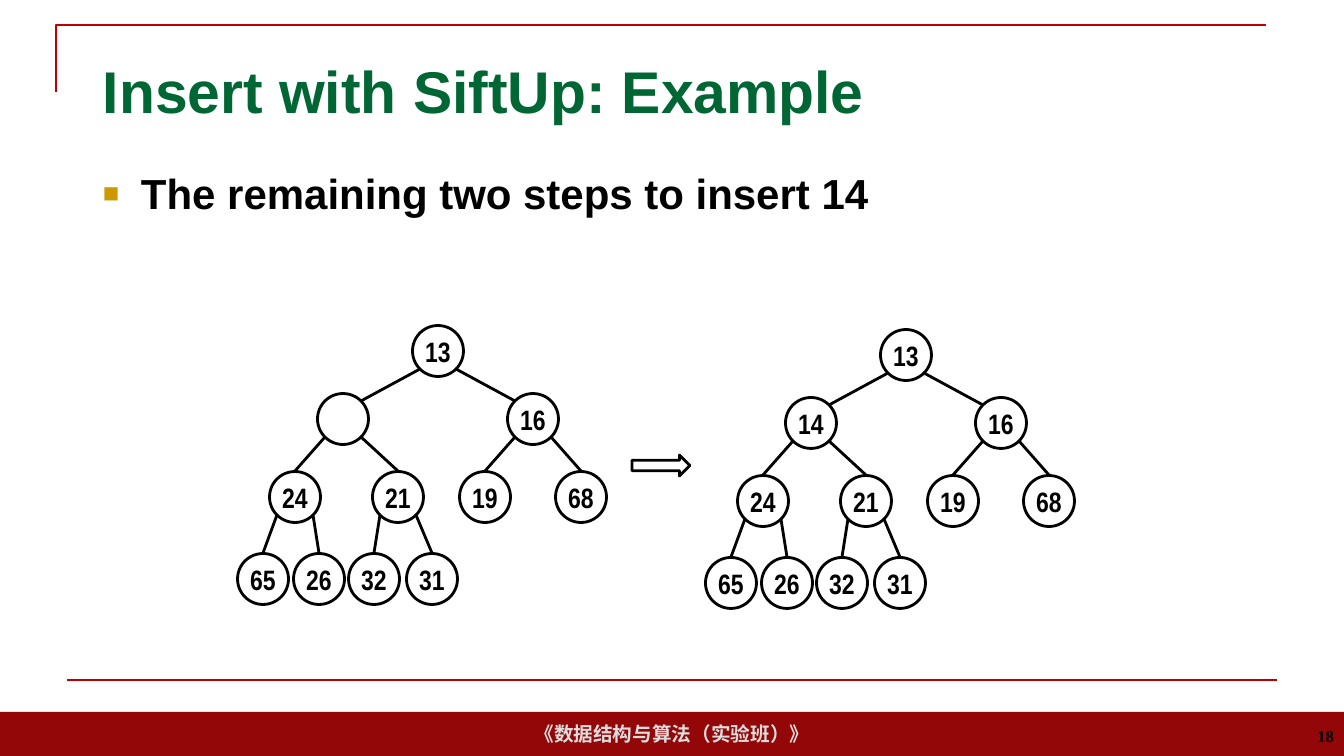
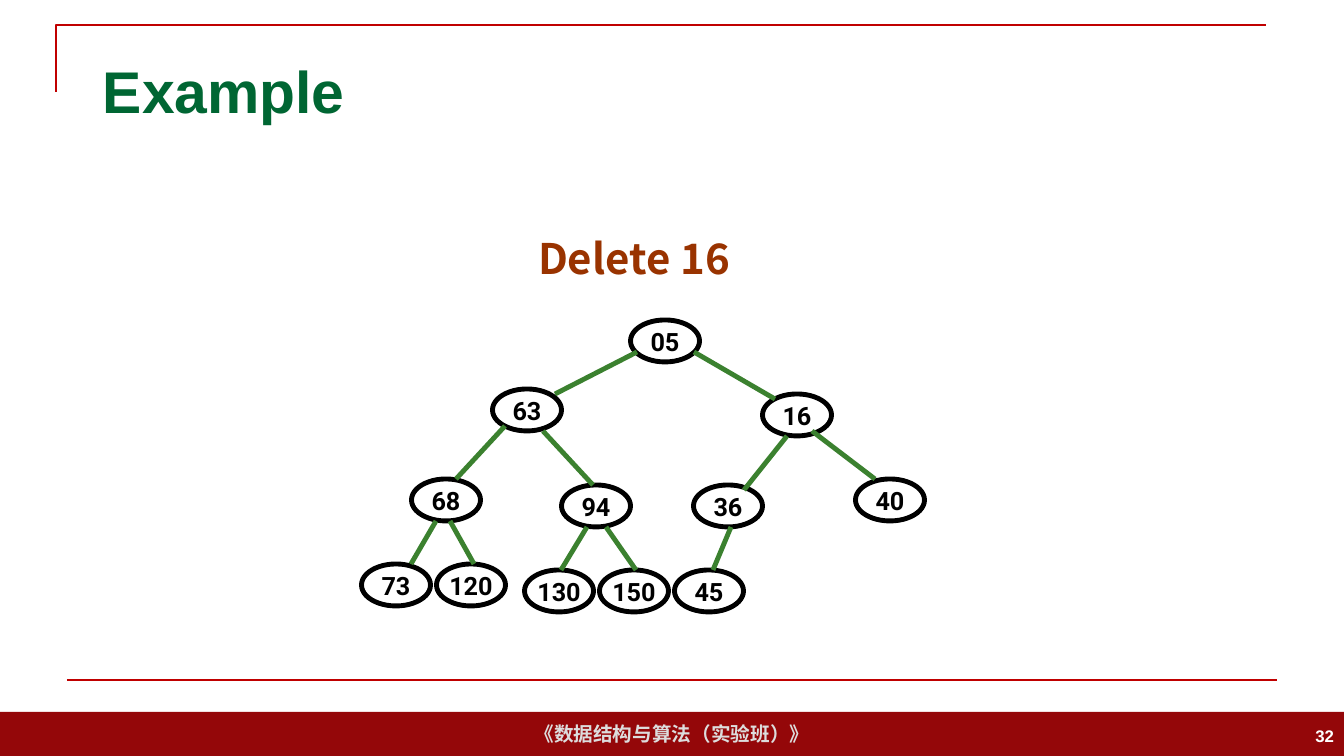
"""Build two slides about inserting into and deleting from a binary heap."""
from lxml.etree import SubElement
from pptx import Presentation
from pptx.dml.color import RGBColor
from pptx.enum.shapes import MSO_CONNECTOR as Connector, MSO_SHAPE as Preset
from pptx.enum.text import MSO_ANCHOR as Anchor, PP_ALIGN as Align
from pptx.oxml.ns import qn
from pptx.util import Pt

SLIDE_WIDTH, SLIDE_HEIGHT = 1344, 756
EMU_PER_PX = 12192000 / SLIDE_WIDTH

COLORS = {
    "white": "FFFFFF", "black": "000000", "band": "940709", "rule": "C00000",
    "footer": "DDDDDD", "title": "006633", "bullet": "CC9900",
    "branch": "3B812F", "caption": "993300",
}
CJK_FONT = "Noto Sans CJK SC"
FOOTER = "《数据结构与算法（实验班）》"

INSERT_TITLE = "Insert with SiftUp: Example"
INSERT_POINT = "The remaining two steps to insert 14"
INSERT_CENTERS = [
    (438, 351), (343, 419), (533, 419), (295, 497), (398, 497), (485, 497),
    (581, 497), (263, 579), (319, 579), (374, 579), (432, 579),
]
INSERT_STEPS = [
    ((0, 0), ["13", "", "16", "24", "21", "19", "68", "65", "26", "32", "31"]),
    ((468, 4), ["13", "14", "16", "24", "21", "19", "68", "65", "26", "32", "31"]),
]
INSERT_STYLE = dict(size=(51, 51), font="Arial Narrow", points=20, weight=2, branch="black")

DELETE_TITLE = "Example"
DELETE_CAPTION = "Delete 16"
DELETE_NODES = {
    "05": (665, 341), "63": (527, 410), "16": (797, 415), "68": (446, 500),
    "94": (596, 506), "36": (728, 506), "40": (890, 500), "73": (396, 585),
    "120": (471, 585), "130": (559, 591), "150": (634, 591), "45": (709, 591),
}
DELETE_EDGES = [
    ((637, 352), (555, 394)), ((694, 352), (775, 399)),
    ((505, 426), (456, 479)), ((543, 431), (593, 485)),
    ((787, 436), (744, 490)), ((812, 431), (875, 479)),
    ((436, 521), (411, 564)), ((450, 521), (474, 564)),
    ((587, 527), (561, 570)), ((606, 527), (636, 570)),
    ((731, 527), (713, 570)),
]
DELETE_STYLE = dict(size=(69, 42), font="Roboto", points=18, weight=3.5,
                    branch="branch", fill="white")


def px(*lengths):
    return [round(length * EMU_PER_PX) for length in lengths]


def rgb(name):
    return RGBColor.from_string(COLORS[name])


def write_text(shape, text, *, font="Arial", points=18, color="black", align=Align.LEFT,
               anchor=Anchor.TOP, wrap=True, insets=(10, 5), east_asian=None):
    frame = shape.text_frame
    frame.word_wrap = wrap
    frame.vertical_anchor = anchor
    frame.margin_left = frame.margin_right = px(insets[0])[0]
    frame.margin_top = frame.margin_bottom = px(insets[1])[0]
    paragraph = frame.paragraphs[0]
    paragraph.alignment = align
    run = paragraph.add_run()
    run.text = text
    run.font.name, run.font.size, run.font.bold = font, Pt(points), True
    run.font.color.rgb = rgb(color)
    if east_asian:
        SubElement(run.font._element, qn("a:ea"), typeface=east_asian)
    return paragraph


def add_text(slide, box, text, **text_format):
    return write_text(slide.shapes.add_textbox(*px(*box)), text, **text_format)


def paint(shape, fill=None, line=None, weight=1.5):
    shape.shadow.inherit = False
    if fill:
        shape.fill.solid()
        shape.fill.fore_color.rgb = rgb(fill)
    else:
        shape.fill.background()
    if line:
        shape.line.color.rgb = rgb(line)
        shape.line.width = Pt(weight)
    else:
        shape.line.fill.background()
    return shape


def add_shape(slide, preset, box, **paint_format):
    return paint(slide.shapes.add_shape(preset, *px(*box)), **paint_format)


def add_line(slide, start, end, color, weight):
    line = slide.shapes.add_connector(Connector.STRAIGHT, *px(*start, *end))
    line.line.color.rgb = rgb(color)
    line.line.width = Pt(weight)
    SubElement(line._element.spPr, qn("a:effectLst"))


def set_bullet(paragraph):
    paragraph.space_before = Pt(6)
    properties = paragraph._p.get_or_add_pPr()
    indent = px(38)[0]
    properties.set("marL", str(indent))
    properties.set("indent", str(-indent))
    color = SubElement(properties, qn("a:buClr"))
    SubElement(color, qn("a:srgbClr"), val=COLORS["bullet"])
    SubElement(properties, qn("a:buSzPct"), val="65000")
    SubElement(properties, qn("a:buFont"), typeface="Arial")
    SubElement(properties, qn("a:buChar"), char="■")


def add_base_slide(presentation, title, number, **number_format):
    slide = presentation.slides.add_slide(presentation.slide_layouts[6])
    band = add_shape(slide, Preset.RECTANGLE, (0, 712, SLIDE_WIDTH, 44), fill="band")
    write_text(band, FOOTER, points=14, color="footer", align=Align.CENTER,
               anchor=Anchor.MIDDLE, wrap=False, east_asian=CJK_FONT)
    corner = slide.shapes.build_freeform(*px(56, 92))
    corner.add_line_segments([px(56, 25), px(1266, 25)], close=False)
    paint(corner.convert_to_shape(), line="rule")
    add_line(slide, (67, 680), (1277, 680), "rule", 1.5)
    add_text(slide, (93, 40, 1159, 100), title, points=42, color="title",
             anchor=Anchor.MIDDLE)
    add_text(slide, (1041, 716, 303, 40), number, points=12, align=Align.RIGHT,
             anchor=Anchor.MIDDLE, **number_format)
    return slide


def add_tree(slide, nodes, edges, *, size, font, points, weight, branch, fill=None):
    width, height = size
    for label, (x, y) in nodes:
        box = (x - width / 2, y - height / 2, width, height)
        node = add_shape(slide, Preset.OVAL, box, fill=fill, line="black", weight=weight)
        if label:
            write_text(node, label, font=font, points=points, align=Align.CENTER,
                       anchor=Anchor.MIDDLE, wrap=False, insets=(0, 0))
    for start, end in edges:
        add_line(slide, start, end, branch, weight)


def heap_edges(centers, reach=18, radius=26):
    edges = []
    for child in range(1, len(centers)):
        parent_x, parent_y = centers[(child - 1) // 2]
        x, y = centers[child]
        side = -1 if child % 2 else 1
        end = (x - side * reach, y - reach) if child < 3 else (x, y - radius)
        edges.append(((parent_x + side * reach, parent_y + reach), end))
    return edges


def build_insert_slide(presentation):
    slide = add_base_slide(presentation, INSERT_TITLE, "18", font="Times New Roman")
    set_bullet(add_text(slide, (93, 163, 1159, 519), INSERT_POINT, points=30))
    for (shift_x, shift_y), labels in INSERT_STEPS:
        centers = [(x + shift_x, y + shift_y) for x, y in INSERT_CENTERS]
        add_tree(slide, zip(labels, centers), heap_edges(centers), **INSERT_STYLE)
    add_shape(slide, Preset.RIGHT_ARROW, (632, 455, 58, 21), line="black", weight=2)


def build_delete_slide(presentation):
    slide = add_base_slide(presentation, DELETE_TITLE, "32", color="white")
    add_tree(slide, DELETE_NODES.items(), DELETE_EDGES, **DELETE_STYLE)
    caption = add_shape(slide, Preset.RECTANGLE, (378, 229, 512, 59), fill="white")
    write_text(caption, DELETE_CAPTION, font=CJK_FONT, points=30, color="caption",
               align=Align.CENTER, insets=(7, 4))


def main():
    presentation = Presentation()
    presentation.slide_width, presentation.slide_height = px(SLIDE_WIDTH, SLIDE_HEIGHT)
    build_insert_slide(presentation)
    build_delete_slide(presentation)
    presentation.save("out.pptx")


if __name__ == "__main__":
    main()
